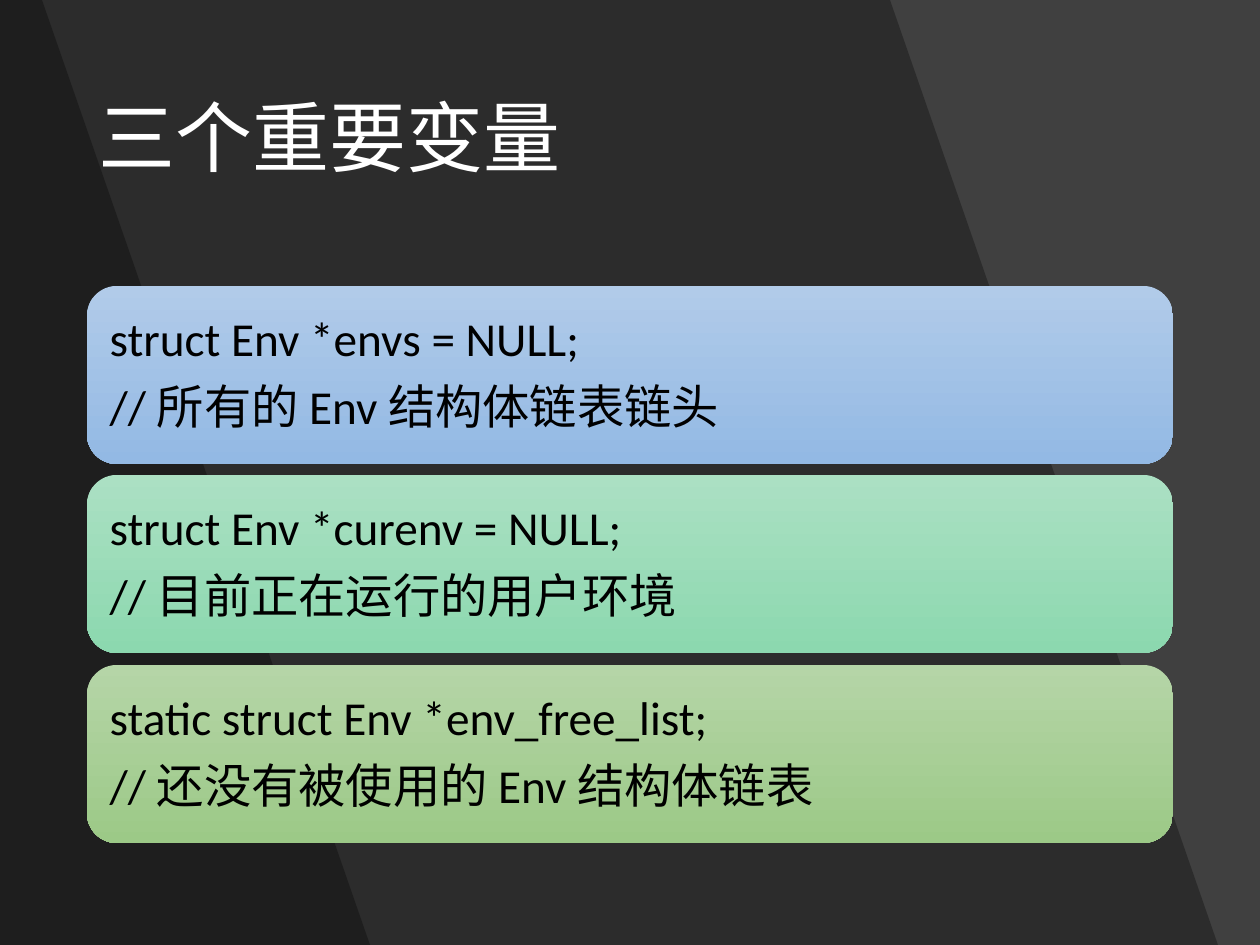
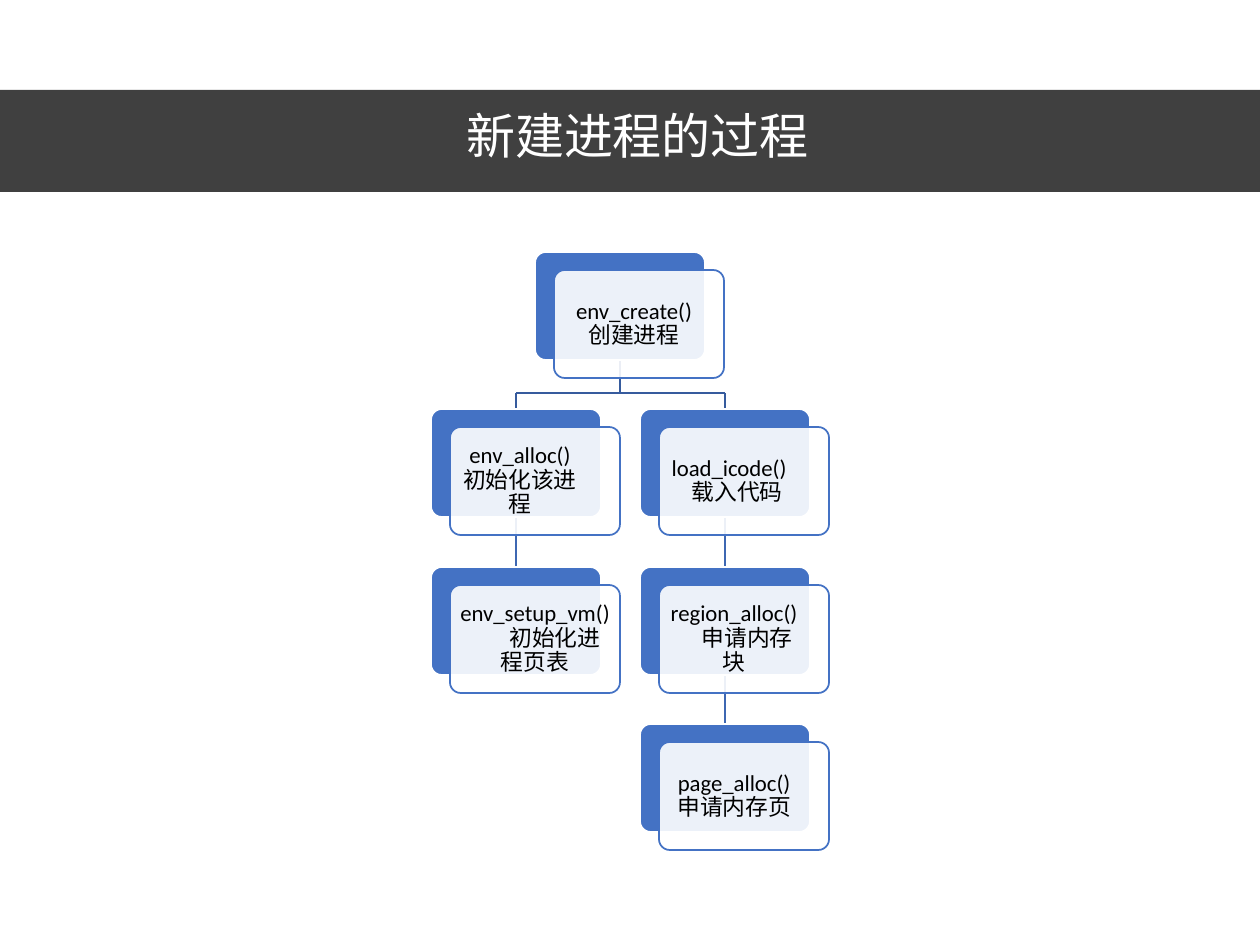
"""Build two slides: key environment variables and the process creation tree."""
from dataclasses import dataclass
from itertools import pairwise

from lxml.etree import SubElement
from pptx import Presentation
from pptx.dml.color import RGBColor
from pptx.enum.shapes import MSO_CONNECTOR as Link, MSO_SHAPE as Preset
from pptx.enum.text import MSO_ANCHOR as Anchor, PP_ALIGN as Align
from pptx.oxml.ns import qn
from pptx.util import Emu, Pt

PX = 914400 / 126
WIDTH, HEIGHT = 1260, 945


@dataclass(frozen=True)
class Theme:
    font: str = "Calibri"
    dark: str = "404040"
    black: str = "000000"
    white: str = "FFFFFF"
    node: str = "4472C4"
    branch: str = "365B9D"
    stem: str = "3E67B2"
    title_size: int = 44
    band_title_size: int = 28
    card_size: int = 27
    node_size: int = 13


THEME = Theme()

CARDS = [
    ("B1CBE9", "93B9E4", "struct Env *envs = NULL;", "// 所有的 Env 结构体链表链头"),
    ("ABE0C3", "8CD8AF", "struct Env *curenv = NULL;", "// 目前正在运行的用户环境"),
    ("B5D5A7", "9CC987", "static struct Env *env_free_list;", "// 还没有被使用的 Env 结构体链表"),
]

NODES = [
    (1, 0, "env_create()", "创建进程", 10, 0),
    (0, 1, "env_alloc()", "初始化该进程", 30, 0),
    (0, 2, "env_setup_vm()", "初始化进程页表", 0, 40),
    (2, 1, "load_icode()", "载入代码", 30, 16),
    (2, 2, "region_alloc()", "申请内存块", 20, 26),
    (2, 3, "page_alloc()", "申请内存页", 20, 0),
]
CALLS = [((2, 2), (2, 3)), ((2, 1), (2, 2)), ((1, 0), (2, 1)),
         ((0, 1), (0, 2)), ((1, 0), (0, 1))]
NODE_WIDTH, NODE_HEIGHT = 170, 108


def emu(px):
    return Emu(round(px * PX))


def rgb(code):
    return RGBColor.from_string(code)


def apply(target, formats):
    for name, value in formats.items():
        setattr(target, name, value)


def paint(shape, color, opacity=100, outline=None):
    shape.shadow.inherit = False
    shape.fill.solid()
    shape.fill.fore_color.rgb = rgb(color)
    if opacity < 100:
        tint = shape._element.spPr.find(qn("a:solidFill"))[0]
        SubElement(tint, qn("a:alpha")).set("val", str(opacity * 1000))
    if outline:
        shape.line.color.rgb = rgb(outline)
        shape.line.width = Pt(1)
    else:
        shape.line.fill.background()


def add_preset(slide, preset, left, top, width, height):
    return slide.shapes.add_shape(preset, emu(left), emu(top), emu(width), emu(height))


def write(shape, lines, size, color, align=Align.LEFT, gap=0, inset=None):
    frame = shape.text_frame
    apply(frame, {"word_wrap": True, "vertical_anchor": Anchor.MIDDLE})
    if inset is not None:
        sides = ("left", "top", "right", "bottom")
        apply(frame, {f"margin_{side}": emu(inset) for side in sides})
    frame.text = "\n".join(lines)
    for line in frame.paragraphs:
        apply(line, {"alignment": align, "line_spacing": 0.9, "space_after": Pt(gap)})
        for run in line.runs:
            apply(run.font, {"name": THEME.font, "size": Pt(size)})
            run.font.color.rgb = rgb(color)
    return frame.paragraphs


def add_title(slide, text, box, size, align=Align.LEFT):
    title = slide.shapes.add_textbox(*map(emu, box))
    write(title, [text], size, THEME.white, align)


def add_slant(slide, top_edge, bottom_edge):
    outline = slide.shapes.build_freeform(0, 0, scale=PX)
    outline.add_line_segments([(top_edge, 0), (bottom_edge, HEIGHT), (0, HEIGHT)])
    paint(outline.convert_to_shape(), THEME.black, 30)


def add_card(slide, top, upper, lower, code, note):
    card = add_preset(slide, Preset.ROUNDED_RECTANGLE, 87, top, 1086, 178)
    paint(card, upper)
    card.fill.gradient()
    card.fill.gradient_angle = 270
    for stop, color in zip(card.fill.gradient_stops, (upper, lower)):
        stop.color.rgb = rgb(color)
    write(card, [code, note], THEME.card_size, THEME.black, gap=9.5, inset=14)


def node_corner(column, row):
    return 431 + 209 * column // 2, 252 + 315 * row // 2


def add_node(slide, column, row, code, note, code_margin, note_indent):
    left, top = node_corner(column, row)
    layers = [(0, 0, THEME.node, 100, THEME.white), (19, 18, THEME.white, 90, THEME.node)]
    for right, down, color, opacity, outline in layers:
        panel = add_preset(slide, Preset.ROUNDED_RECTANGLE, left + right, top + down,
                           NODE_WIDTH, NODE_HEIGHT)
        panel.adjustments[0] = 0.1
        paint(panel, color, opacity, outline)
    code_line, note_line = write(panel, [code, note], THEME.node_size, THEME.black,
                                 Align.CENTER, inset=6)
    code_line._p.get_or_add_pPr().set("marR", str(emu(code_margin)))
    note_line._p.get_or_add_pPr().set("indent", str(emu(note_indent)))


def add_call(slide, caller, callee):
    (start_x, start_y), (end_x, end_y) = node_corner(*caller), node_corner(*callee)
    start_x, end_x = start_x + NODE_WIDTH // 2, end_x + NODE_WIDTH // 2
    start_y += NODE_HEIGHT
    route, color = [(start_x, start_y), (end_x, end_y)], THEME.stem
    if start_x != end_x:
        bend = end_y - 16
        route[1:1] = [(start_x, bend), (end_x, bend)]
        color = THEME.branch
    for begin, end in pairwise(route):
        segment = slide.shapes.add_connector(Link.STRAIGHT, *map(emu, begin + end))
        segment.line.color.rgb = rgb(color)
        segment.line.width = Pt(1)
        SubElement(segment._element.spPr, qn("a:effectLst"))


def add_page(deck, background):
    slide = deck.slides.add_slide(deck.slide_layouts[6])
    slide.background.fill.solid()
    slide.background.fill.fore_color.rgb = rgb(background)
    return slide


def build_variables(deck):
    slide = add_page(deck, THEME.dark)
    for top_edge in (890, 42):
        add_slant(slide, top_edge, top_edge + 328)
    add_title(slide, "三个重要变量", (86, 50, 1087, 183), THEME.title_size)
    for index, card in enumerate(CARDS):
        add_card(slide, 286 + 379 * index // 2, *card)


def build_process(deck):
    slide = add_page(deck, THEME.white)
    band = add_preset(slide, Preset.RECTANGLE, 0, 90, WIDTH, 102)
    paint(band, THEME.black, 75)
    add_title(slide, "新建进程的过程", (58, 88, 1159, 102), THEME.band_title_size, Align.CENTER)
    for call in CALLS:
        add_call(slide, *call)
    for node in NODES:
        add_node(slide, *node)


def main():
    deck = Presentation()
    apply(deck, {"slide_width": emu(WIDTH), "slide_height": emu(HEIGHT)})
    build_variables(deck)
    build_process(deck)
    deck.save("out.pptx")


if __name__ == "__main__":
    main()
